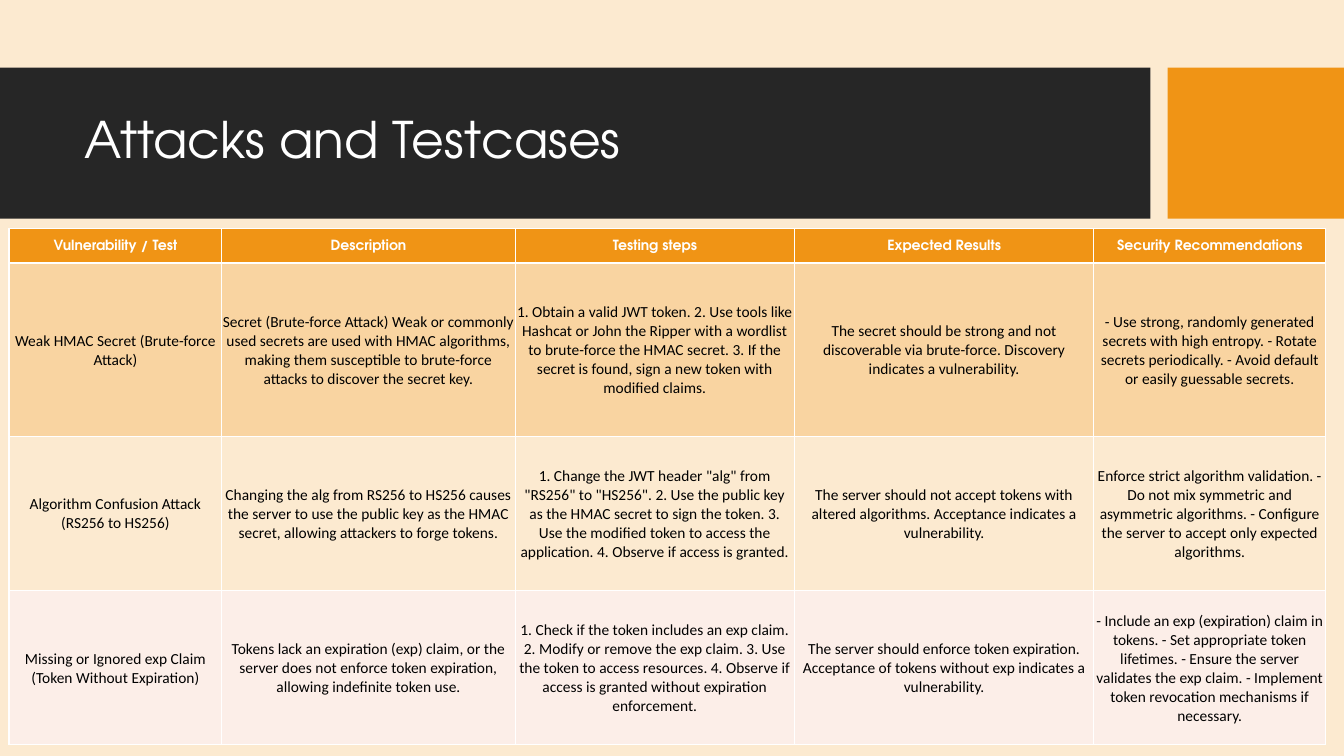
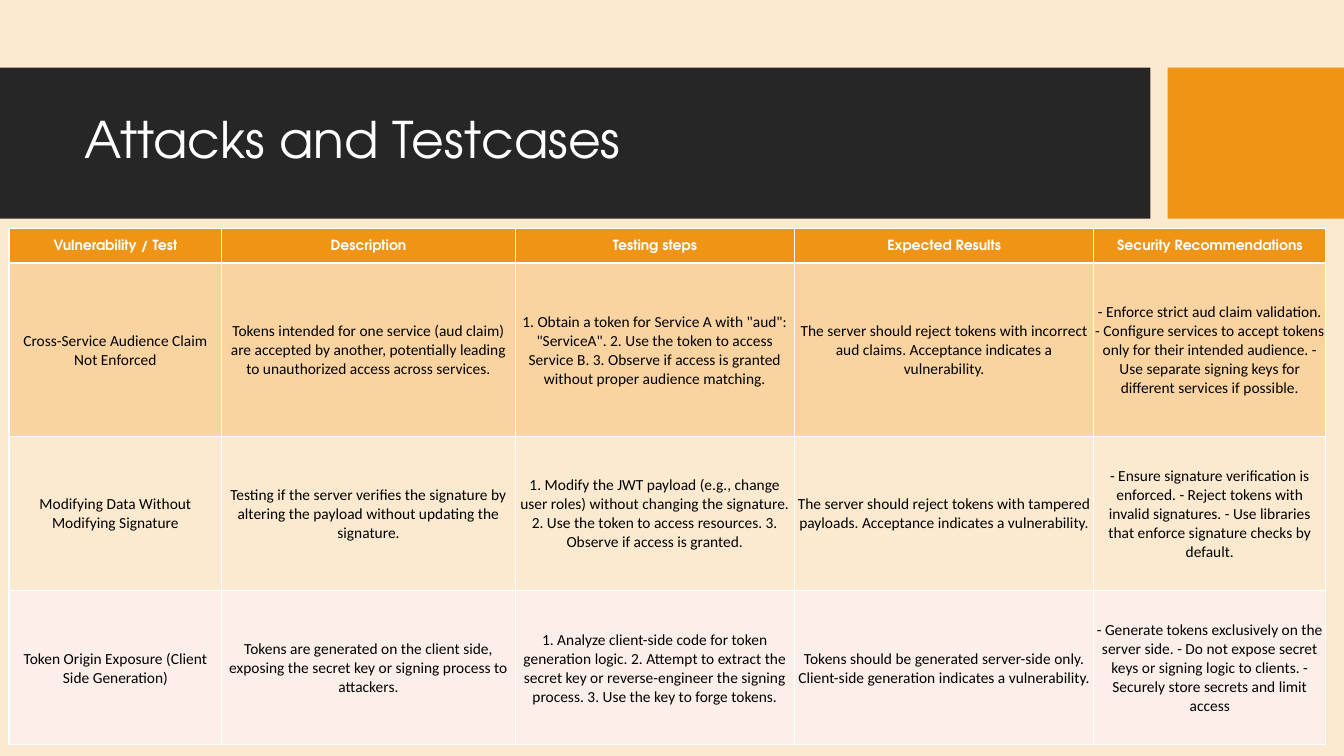
"""Build two slides that tabulate JWT attacks and their test cases."""
from lxml import etree
from pptx import Presentation
from pptx.dml.color import RGBColor
from pptx.enum.shapes import MSO_SHAPE
from pptx.enum.text import MSO_ANCHOR, PP_ALIGN
from pptx.oxml.ns import qn
from pptx.util import Inches, Pt

RECTANGLE = MSO_SHAPE.RECTANGLE
MIDDLE = MSO_ANCHOR.MIDDLE
LEFT, CENTER = PP_ALIGN.LEFT, PP_ALIGN.CENTER

COLORS = {
    "page": "FCEAD0",
    "band": "262626",
    "accent": "F09415",
    "white": "FFFFFF",
    "black": "000000",
    "deep_row": "F9D4A1",
    "mid_row": "FCEAD0",
    "pale_row": "FCEEE8",
}
TITLE_FONT, BODY_FONT = "TeX Gyre Adventor", "Calibri"

TITLE = "Attacks and Testcases"
HEADERS = ["Vulnerability / Test", "Description", "Testing steps",
           "Expected Results", "Security Recommendations"]
TEST_PAGES = [
    [
        ["Weak HMAC Secret (Brute-force Attack)",
         "Secret (Brute-force Attack) Weak or commonly used secrets are used with HMAC "
         "algorithms, making them susceptible to brute-force attacks to discover the secret key.",
         "1. Obtain a valid JWT token. 2. Use tools like Hashcat or John the Ripper with a "
         "wordlist to brute-force the HMAC secret. 3. If the secret is found, sign a new token "
         "with modified claims.",
         "The secret should be strong and not discoverable via brute-force. Discovery "
         "indicates a vulnerability.",
         "- Use strong, randomly generated secrets with high entropy. - Rotate secrets "
         "periodically. - Avoid default or easily guessable secrets."],
        ["Algorithm Confusion Attack (RS256 to HS256)",
         "Changing the alg from RS256 to HS256 causes the server to use the public key as the "
         "HMAC secret, allowing attackers to forge tokens.",
         '1. Change the JWT header "alg" from "RS256" to "HS256". 2. Use the public key as the '
         "HMAC secret to sign the token. 3. Use the modified token to access the application. "
         "4. Observe if access is granted.",
         "The server should not accept tokens with altered algorithms. Acceptance indicates a "
         "vulnerability.",
         "Enforce strict algorithm validation. - Do not mix symmetric and asymmetric "
         "algorithms. - Configure the server to accept only expected algorithms."],
        ["Missing or Ignored exp Claim (Token Without Expiration)",
         "Tokens lack an expiration (exp) claim, or the server does not enforce token "
         "expiration, allowing indefinite token use.",
         "1. Check if the token includes an exp claim. 2. Modify or remove the exp claim. "
         "3. Use the token to access resources. 4. Observe if access is granted without "
         "expiration enforcement.",
         "The server should enforce token expiration. Acceptance of tokens without exp "
         "indicates a vulnerability.",
         "- Include an exp (expiration) claim in tokens. - Set appropriate token lifetimes. "
         "- Ensure the server validates the exp claim. - Implement token revocation mechanisms "
         "if necessary."],
    ],
    [
        ["Cross-Service Audience Claim Not Enforced",
         "Tokens intended for one service (aud claim) are accepted by another, potentially "
         "leading to unauthorized access across services.",
         '1. Obtain a token for Service A with "aud": "ServiceA". 2. Use the token to access '
         "Service B. 3. Observe if access is granted without proper audience matching.",
         "The server should reject tokens with incorrect aud claims. Acceptance indicates a "
         "vulnerability.",
         "- Enforce strict aud claim validation. - Configure services to accept tokens only "
         "for their intended audience. - Use separate signing keys for different services if "
         "possible."],
        ["Modifying Data Without Modifying Signature",
         "Testing if the server verifies the signature by altering the payload without "
         "updating the signature.",
         "1. Modify the JWT payload (e.g., change user roles) without changing the signature. "
         "2. Use the token to access resources. 3. Observe if access is granted.",
         "The server should reject tokens with tampered payloads. Acceptance indicates a "
         "vulnerability.",
         "- Ensure signature verification is enforced. - Reject tokens with invalid "
         "signatures. - Use libraries that enforce signature checks by default."],
        ["Token Origin Exposure (Client Side Generation)",
         "Tokens are generated on the client side, exposing the secret key or signing process "
         "to attackers.",
         "1. Analyze client-side code for token generation logic. 2. Attempt to extract the "
         "secret key or reverse-engineer the signing process. 3. Use the key to forge tokens.",
         "Tokens should be generated server-side only. Client-side generation indicates a "
         "vulnerability.",
         "- Generate tokens exclusively on the server side. - Do not expose secret keys or "
         "signing logic to clients. - Securely store secrets and limit access"],
    ],
]

PAGE_WIDTH, PAGE_HEIGHT = 13.33, 7.5
BAND_TOP, BAND_HEIGHT = 0.67, 1.5
BANDS = [(0, 11.41, "band"), (11.58, 1.75, "accent")]
TITLE_AREA = (0.74, 0.82, 10.51, 1.18)
TABLE_LEFT, TABLE_TOP = 0.09, 2.27
COLUMN_WIDTHS = [2.11, 2.91, 2.77, 2.97, 2.3]
ROW_HEIGHTS = [0.34, 1.72, 1.53, 1.53]
ROW_FILLS = ["accent", "deep_row", "mid_row", "pale_row"]
CELL_INSET = 0.01
HEADER_STYLE = {"font": TITLE_FONT, "size": 10, "color": "white", "bold": True}
BODY_STYLE = {"font": BODY_FONT, "size": 11, "color": "black"}


def rgb(name):
    """Return the named palette colour."""
    return RGBColor.from_string(COLORS[name])


def write(frame, text, *, font, size, color, bold=False, align=LEFT, spacing=None):
    """Put one formatted paragraph in a text frame."""
    frame.word_wrap = True
    para = frame.paragraphs[0]
    para.alignment = align
    para.line_spacing = spacing
    span = para.add_run()
    span.text = text
    span.font.name = font
    span.font.size = Pt(size)
    span.font.bold = bold
    span.font.color.rgb = rgb(color)


def add_borders(cell, color, width):
    """Draw the same solid line on all four sides of a cell."""
    properties = cell._tc.get_or_add_tcPr()
    for side in ("a:lnL", "a:lnR", "a:lnT", "a:lnB"):
        line = etree.SubElement(properties, qn(side), w=str(Pt(width)))
        fill = etree.SubElement(line, qn("a:solidFill"))
        etree.SubElement(fill, qn("a:srgbClr"), val=COLORS[color])


def fill_cell(cell, text, fill, style):
    """Format one table cell and write its text."""
    add_borders(cell, "white", 1)
    cell.fill.solid()
    cell.fill.fore_color.rgb = rgb(fill)
    cell.margin_left = cell.margin_right = cell.margin_top = Inches(CELL_INSET)
    cell.margin_bottom = 0
    cell.vertical_anchor = MIDDLE
    write(cell.text_frame, text, align=CENTER, **style)


def add_titled_page(deck, title):
    """Add a page with the shared background, bands and title."""
    page = deck.slides.add_slide(deck.slide_layouts[6])
    page.background.fill.solid()
    page.background.fill.fore_color.rgb = rgb("page")
    for left, width, color in BANDS:
        band = page.shapes.add_shape(RECTANGLE, Inches(left), Inches(BAND_TOP),
                                     Inches(width), Inches(BAND_HEIGHT))
        band.shadow.inherit = False
        band.fill.solid()
        band.fill.fore_color.rgb = rgb(color)
        band.line.fill.background()
    box = page.shapes.add_textbox(*map(Inches, TITLE_AREA))
    box.text_frame.vertical_anchor = MIDDLE
    write(box.text_frame, title, font=TITLE_FONT, size=36, color="white", spacing=0.9)
    return page


def add_test_table(page, tests):
    """Add the header row and one row for each test."""
    rows = [HEADERS, *tests]
    area = (TABLE_LEFT, TABLE_TOP, sum(COLUMN_WIDTHS), sum(ROW_HEIGHTS))
    table = page.shapes.add_table(len(rows), len(HEADERS), *map(Inches, area)).table
    table.horz_banding = False
    for column, width in zip(table.columns, COLUMN_WIDTHS):
        column.width = Inches(width)
    for index, (row, height, fill) in enumerate(zip(table.rows, ROW_HEIGHTS, ROW_FILLS)):
        row.height = Inches(height)
        style = BODY_STYLE if index else HEADER_STYLE
        for cell, text in zip(row.cells, rows[index]):
            fill_cell(cell, text, fill, style)


def main():
    """Build and save the deck."""
    deck = Presentation()
    deck.slide_width = Inches(PAGE_WIDTH)
    deck.slide_height = Inches(PAGE_HEIGHT)
    for tests in TEST_PAGES:
        add_test_table(add_titled_page(deck, TITLE), tests)
    deck.save("out.pptx")


if __name__ == "__main__":
    main()
